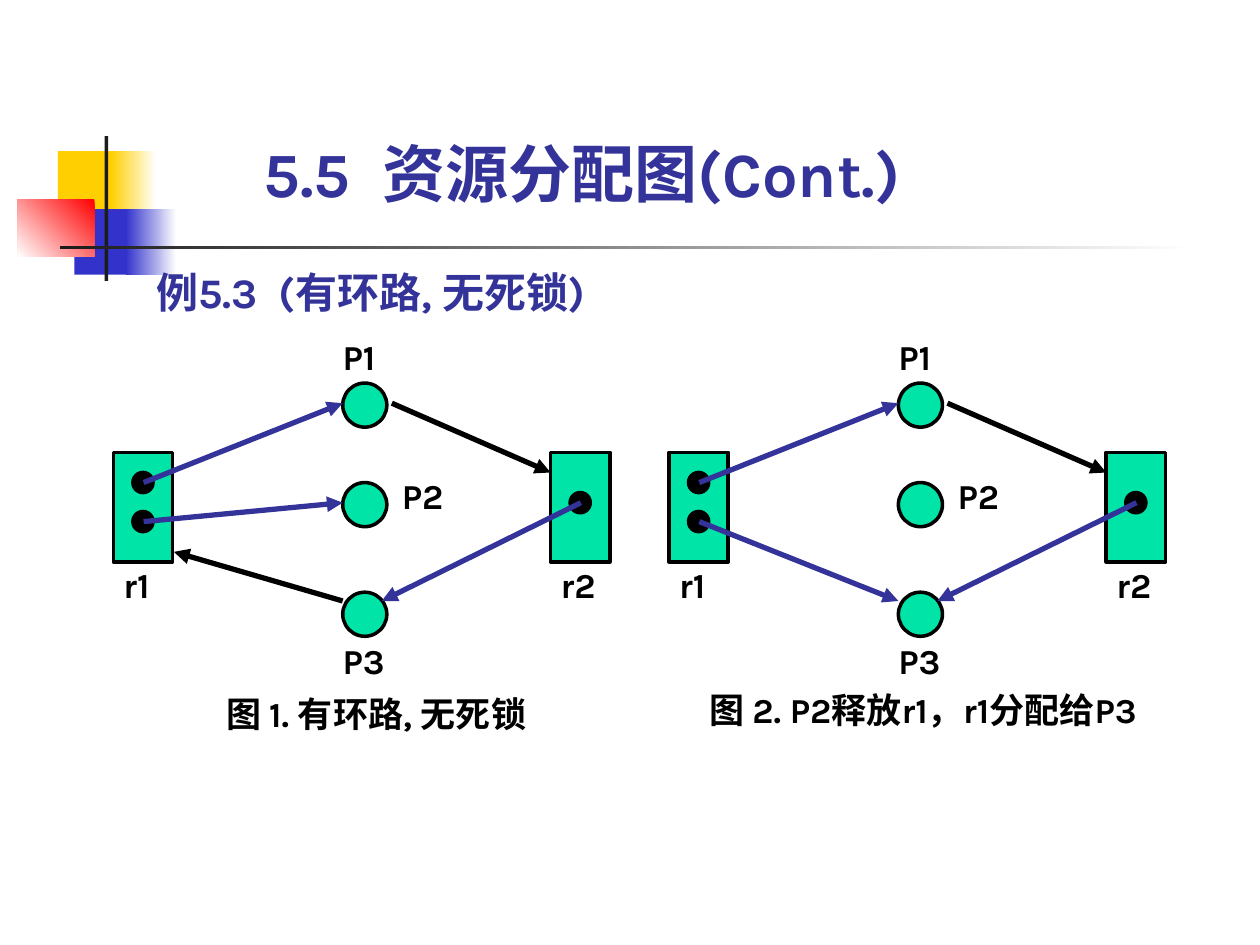
from lxml import etree
from pptx import Presentation
from pptx.dml.color import RGBColor
from pptx.enum import shapes, text
from pptx.oxml.ns import qn
from pptx.util import Inches, Pt

COLOURS = {
    "white": "FFFFFF", "black": "000000", "ink": "1C1C1C", "navy": "333399",
    "yellow": "FFCF01", "blue": "3333CC", "red": "FF0000", "green": "00E4A8",
}
FONT = "Karla"

# left, top, width, height, colours (two make a gradient), gradient angle
DECORATION = [
    (0.46, 1.2, 0.48, 0.52, ["yellow"], 0),
    (0.88, 1.2, 0.36, 0.52, ["white", "yellow"], 180),
    (0.59, 1.66, 0.46, 0.52, ["blue"], 0),
    (1, 1.66, 0.4, 0.52, ["white", "blue"], 180),
    (0.14, 1.58, 0.61, 0.46, ["red", "white"], 225),
    (0.83, 1.08, 0.03, 1.15, ["ink"], 0),
    (0.48, 1.95, 9, 0.03, ["white", "ink"], 180),
]
TITLE = "5.5  资源分配图(Cont.)"
EXAMPLE = "例5.3  (有环路, 无死锁)"

# Graph coordinates are those of the left figure.
PROCESS_LEFT, PROCESS_SIZE = 2.72, 0.35
PROCESSES = [  # name, circle top, label position
    ("P1", 3.04, (2.72, 2.73)),
    ("P2", 3.83, (3.19, 3.83)),
    ("P3", 4.7, (2.72, 5.14)),
]
RESOURCE_TOP, RESOURCE_WIDTH, RESOURCE_HEIGHT = 3.59, 0.47, 0.87
RESOURCES = [  # name, left, centre heights of the instances
    ("r1", 0.9, [3.83, 4.14]),
    ("r2", 4.37, [3.99]),
]
DOT = 0.16
SHARED_EDGES = [  # from, to, colour
    ((1.14, 3.83), (2.72, 3.2), "navy"),
    ((4.61, 3.99), (3.03, 4.77), "navy"),
    ((3.11, 3.2), (4.37, 3.75), "black"),
]
FIGURES = [
    {
        "offset": 0,
        "edges": [((1.14, 4.14), (2.72, 3.99), "navy"),
                  ((2.72, 4.77), (1.38, 4.38), "black")],
        "caption": "图 1. 有环路, 无死锁",
        "caption_at": (1.53, 5.56, 2.91, 0.27),
        "align": text.PP_ALIGN.CENTER,
    },
    {
        "offset": 4.41,
        "edges": [((1.14, 4.14), (2.72, 4.77), "navy")],
        "caption": "图 2. P2释放r1，r1分配给P3",
        "caption_at": (5.63, 5.53, 3.86, 0.53),
        "align": text.PP_ALIGN.LEFT,
    },
]


def rgb(name):
    return RGBColor.from_string(COLOURS[name])


def add_block(parent, kind, at, fills, angle=0, outlined=True):
    block = parent.shapes.add_shape(kind, *map(Inches, at))
    block.shadow.inherit = False
    if len(fills) == 1:
        block.fill.solid()
        block.fill.fore_color.rgb = rgb(fills[0])
    else:
        block.fill.gradient()
        block.fill.gradient_angle = angle
        for stop, name in zip(block.fill.gradient_stops, fills):
            stop.color.rgb = rgb(name)
    if outlined:
        block.line.color.rgb = rgb("black")
        block.line.width = Pt(2)
    else:
        block.line.fill.background()


def add_text(parent, at, words, size=20, colour="black", spacing=0.8,
             align=text.PP_ALIGN.LEFT, margins=(0, 0),
             anchor=text.MSO_ANCHOR.TOP):
    box = parent.shapes.add_textbox(*map(Inches, at))
    frame = box.text_frame
    frame.word_wrap = True
    frame.vertical_anchor = anchor
    frame.margin_left = frame.margin_right = Inches(margins[0])
    frame.margin_top = frame.margin_bottom = Inches(margins[1])
    paragraph = frame.paragraphs[0]
    paragraph.text = words
    paragraph.alignment = align
    paragraph.line_spacing = spacing
    paragraph.font.name = FONT
    paragraph.font.size = Pt(size)
    paragraph.font.bold = True
    paragraph.font.color.rgb = rgb(colour)


def add_arrow(parent, start, end, colour):
    arrow = parent.shapes.add_connector(
        shapes.MSO_CONNECTOR.STRAIGHT, *map(Inches, (*start, *end)))
    arrow.line.color.rgb = rgb(colour)
    arrow.line.width = Pt(3)
    etree.SubElement(arrow.line._get_or_add_ln(), qn("a:tailEnd"), type="triangle")
    etree.SubElement(arrow._element.spPr, qn("a:effectLst"))


def add_figure(page, figure):
    group = page.shapes.add_group_shape()
    offset = figure["offset"]
    circle, rectangle = shapes.MSO_SHAPE.OVAL, shapes.MSO_SHAPE.RECTANGLE
    for name, top, (label_left, label_top) in PROCESSES:
        add_block(group, circle,
                  (PROCESS_LEFT + offset, top, PROCESS_SIZE, PROCESS_SIZE), ["green"])
        add_text(group, (label_left + offset, label_top, 0.47, 0.27), name)
    for name, left, instances in RESOURCES:
        left += offset
        add_block(group, rectangle,
                  (left, RESOURCE_TOP, RESOURCE_WIDTH, RESOURCE_HEIGHT), ["green"])
        for middle in instances:
            add_block(group, circle,
                      (left + (RESOURCE_WIDTH - DOT) / 2, middle - DOT / 2, DOT, DOT),
                      ["black"])
        add_text(group, (left + 0.08, 4.54, 0.47, 0.27), name)
    for (x1, y1), (x2, y2), colour in SHARED_EDGES + figure["edges"]:
        add_arrow(group, (x1 + offset, y1), (x2 + offset, y2), colour)
    add_text(page, figure["caption_at"], figure["caption"], align=figure["align"])


def main():
    deck = Presentation()
    deck.slide_width, deck.slide_height = Inches(10), Inches(7.5)
    page = deck.slides.add_slide(deck.slide_layouts[6])
    for *at, fills, angle in DECORATION:
        add_block(page, shapes.MSO_SHAPE.RECTANGLE, at, fills, angle, outlined=False)
    add_text(page, (2.09, 1.07, 5.59, 0.6), TITLE, 36, "navy", 1.0,
             anchor=text.MSO_ANCHOR.BOTTOM)
    add_text(page, (1.14, 1.99, 4.01, 1.06), EXAMPLE, 24, "navy", 1.2,
             margins=(0.1, 0.05))
    for figure in FIGURES:
        add_figure(page, figure)
    deck.save("out.pptx")


if __name__ == "__main__":
    main()
